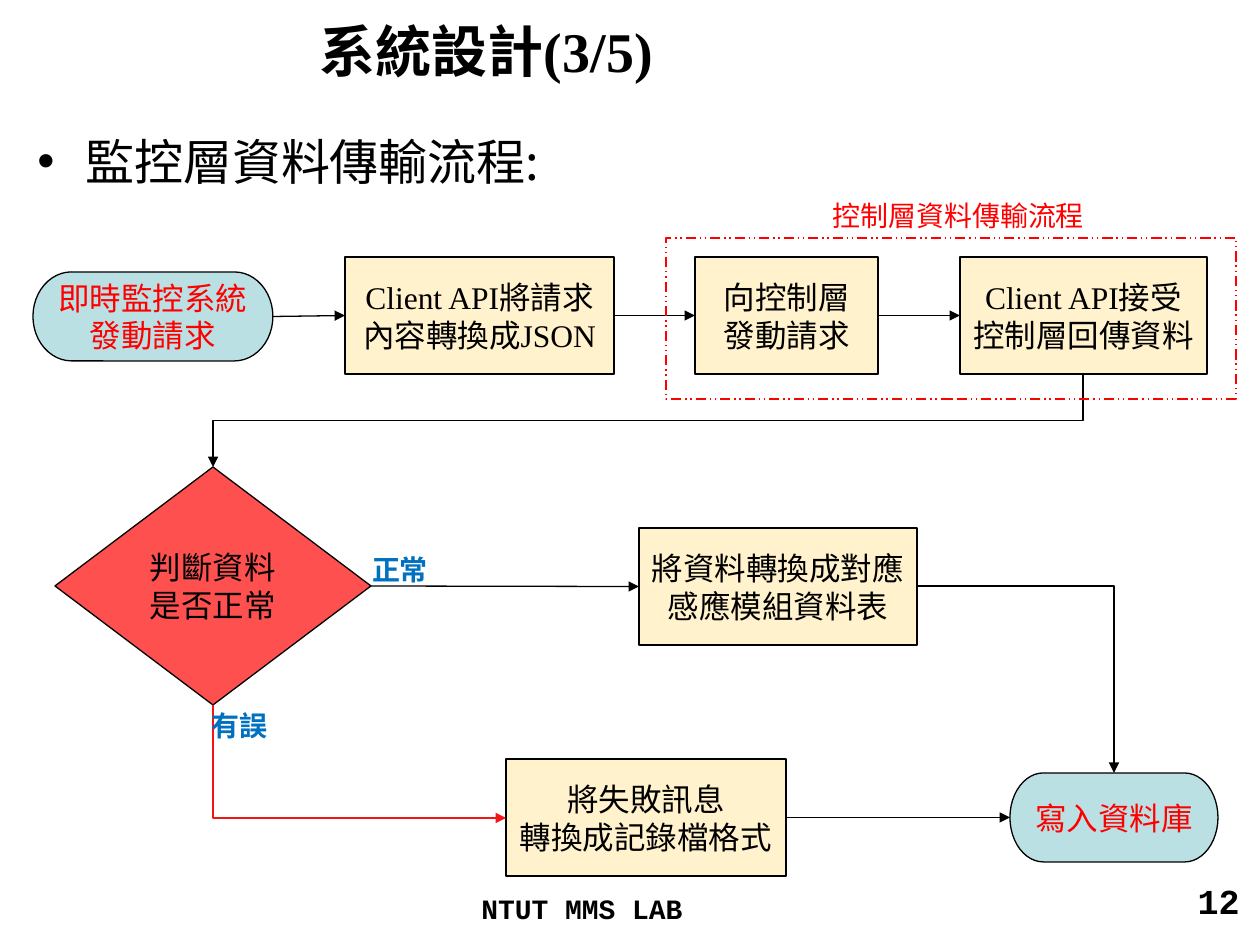
from lxml import etree
from pptx import Presentation
from pptx import util as u
from pptx.dml.color import RGBColor
from pptx.enum import dml, shapes, text
from pptx.oxml.ns import qn

PX = 914400 / 126
COLORS = {
    "black": "000000", "red": "FF0000", "error": "F31515", "blue": "0070C0",
    "terminal": "BBE0E3", "process": "FFF2CC", "decision": "FF5050",
}
SERIF, SANS, MONO = "Times New Roman", "Noto Sans CJK SC", "Courier New"
KINDS = {
    "terminal": shapes.MSO_SHAPE.FLOWCHART_TERMINATOR,
    "process": shapes.MSO_SHAPE.FLOWCHART_PROCESS,
    "decision": shapes.MSO_SHAPE.FLOWCHART_DECISION,
}
ALIGN = text.PP_ALIGN
NODES = {
    "start": ("terminal", (33, 272, 240, 89), "即時監控系統發動請求"),
    "to_json": ("process", (345, 257, 269, 117), "Client API將請求內容轉換成JSON"),
    "request": ("process", (695, 257, 183, 117), "向控制層\n發動請求"),
    "receive": ("process", (960, 257, 247, 117), "Client API接受控制層回傳資料"),
    "check": ("decision", (55, 467, 316, 238), "判斷資料是否正常"),
    "to_table": ("process", (639, 528, 278, 117), "將資料轉換成對應感應模組資料表"),
    "to_log": ("process", (506, 759, 280, 117), "將失敗訊息\n轉換成記錄檔格式"),
    "store": ("terminal", (1010, 773, 208, 89), "寫入資料庫"),
}
FLOWS = [
    ("start", "to_json"), ("to_json", "request"), ("request", "receive"),
    ("check", "to_table"), ("to_log", "store"),
]
ELBOWS = [
    ((917, 586), (1114, 773), "bentConnector2", 0, False, "black"),
    ((213, 705), (506, 818), "bentConnector2", 270, True, "error"),
    ((1083, 374), (213, 467), "bentConnector3", 90, False, "black"),
]
LABELS = [
    ((352, 546, 96, 47), "正常", "blue", True),
    ((154, 702, 171, 47), "有誤", "blue", True),
    ((813, 192, 291, 47), "控制層資料傳輸流程", "red", False),
]


def px(*values):
    """Turn pixel lengths into EMU."""
    return [u.Emu(round(v * PX)) for v in values]


def rgb(name):
    """Look up a named colour."""
    return RGBColor.from_string(COLORS[name])


def write(tf, content, size, font, color="black", bold=False, align=ALIGN.LEFT):
    """Fill a text frame and format its paragraphs."""
    tf.text = content
    tf.word_wrap = True
    for p in tf.paragraphs:
        p.alignment = align
        for r in p.runs:
            r.font.size = u.Pt(size)
            r.font.name = font
            r.font.bold = bold
            r.font.color.rgb = rgb(color)


def add_title(slide, box, content):
    """Place and format the title placeholder."""
    sp = slide.shapes.title
    sp.left, sp.top, sp.width, sp.height = px(*box)
    write(sp.text_frame, content, 32, SERIF, bold=True)
    sp.text_frame.vertical_anchor = text.MSO_ANCHOR.MIDDLE


def add_text(slide, box, content, size, font, **style):
    """Add a wrapped text box."""
    tf = slide.shapes.add_textbox(*px(*box)).text_frame
    write(tf, content, size, font, **style)
    return tf


def add_bullet(slide, box, content):
    """Add a bulleted heading."""
    tf = add_text(slide, box, content, 28, SANS)
    pPr = tf.paragraphs[0]._p.get_or_add_pPr()
    indent = px(48)[0]
    pPr.set("marL", str(indent))
    pPr.set("indent", str(-indent))
    etree.SubElement(pPr, qn("a:buFont")).set("typeface", "Arial")
    etree.SubElement(pPr, qn("a:buChar")).set("char", "•")


def add_label(slide, box, content, color, bold):
    """Add a centred label that grows with its text."""
    tf = add_text(slide, box, content, 16, SANS, color=color, bold=bold, align=ALIGN.CENTER)
    tf.auto_size = text.MSO_AUTO_SIZE.SHAPE_TO_FIT_TEXT


def add_node(slide, kind, box, content):
    """Add a flowchart node."""
    sp = slide.shapes.add_shape(KINDS[kind], *px(*box))
    sp.shadow.inherit = False
    sp.fill.solid()
    sp.fill.fore_color.rgb = rgb(kind)
    sp.line.color.rgb = rgb("black")
    sp.line.width = u.Pt(0.75)
    color = "red" if kind == "terminal" else "black"
    write(sp.text_frame, content, 18, SERIF, color=color, align=ALIGN.CENTER)
    sp.text_frame.vertical_anchor = text.MSO_ANCHOR.MIDDLE
    return sp


def add_frame(slide, box):
    """Add the dashed frame around the control layer."""
    sp = slide.shapes.add_shape(shapes.MSO_SHAPE.RECTANGLE, *px(*box))
    sp.shadow.inherit = False
    sp.fill.background()
    sp.line.color.rgb = rgb("red")
    sp.line.width = u.Pt(0.75)
    sp.line.dash_style = dml.MSO_LINE.DASH_DOT_DOT


def style_arrow(cx, color="black"):
    """Give a connector its line, arrowhead and empty effects."""
    cx.line.color.rgb = rgb(color)
    cx.line.width = u.Pt(0.75)
    spPr = cx._element.spPr
    etree.SubElement(spPr.find(qn("a:ln")), qn("a:tailEnd")).set("type", "triangle")
    etree.SubElement(spPr, qn("a:effectLst"))


def add_flow(slide, source, target):
    """Join the right side of one node to the left side of the next."""
    cx = slide.shapes.add_connector(shapes.MSO_CONNECTOR.STRAIGHT, 0, 0, 0, 0)
    cx.begin_connect(source, 3)
    cx.end_connect(target, 1)
    style_arrow(cx)


def add_elbow(slide, start, end, preset, turn, flip, color):
    """Add a bent arrow, turning its frame about the centre."""
    (x1, y1), (x2, y2) = start, end
    w, h = abs(x2 - x1), abs(y2 - y1)
    if turn:
        w, h = h, w
    left, top = (x1 + x2 - w) / 2, (y1 + y2 - h) / 2
    cx = slide.shapes.add_connector(
        shapes.MSO_CONNECTOR.ELBOW, *px(left, top, left + w, top + h))
    spPr = cx._element.spPr
    spPr.find(qn("a:prstGeom")).set("prst", preset)
    xfrm = spPr.find(qn("a:xfrm"))
    xfrm.set("rot", str(turn * 60000))
    if flip:
        xfrm.set("flipH", "1")
    style_arrow(cx, color)


def main():
    """Build the slide."""
    prs = Presentation()
    prs.slide_width, prs.slide_height = px(1260, 945)
    slide = prs.slides.add_slide(prs.slide_layouts[5])
    add_title(slide, (307, 0, 953, 100), "系統設計(3/5)")
    add_bullet(slide, (25, 125, 1221, 733), "監控層資料傳輸流程:")
    nodes = {name: add_node(slide, *node) for name, node in NODES.items()}
    for source, target in FLOWS:
        add_flow(slide, nodes[source], nodes[target])
    for elbow in ELBOWS:
        add_elbow(slide, *elbow)
    add_frame(slide, (666, 238, 570, 161))
    for label in LABELS:
        add_label(slide, *label)
    add_text(slide, (469, 885, 408, 40), "NTUT MMS LAB", 16, MONO, bold=True)
    add_text(slide, (958, 873, 294, 66), "12", 20, MONO, bold=True, align=ALIGN.RIGHT)
    prs.save("out.pptx")


if __name__ == "__main__":
    main()
